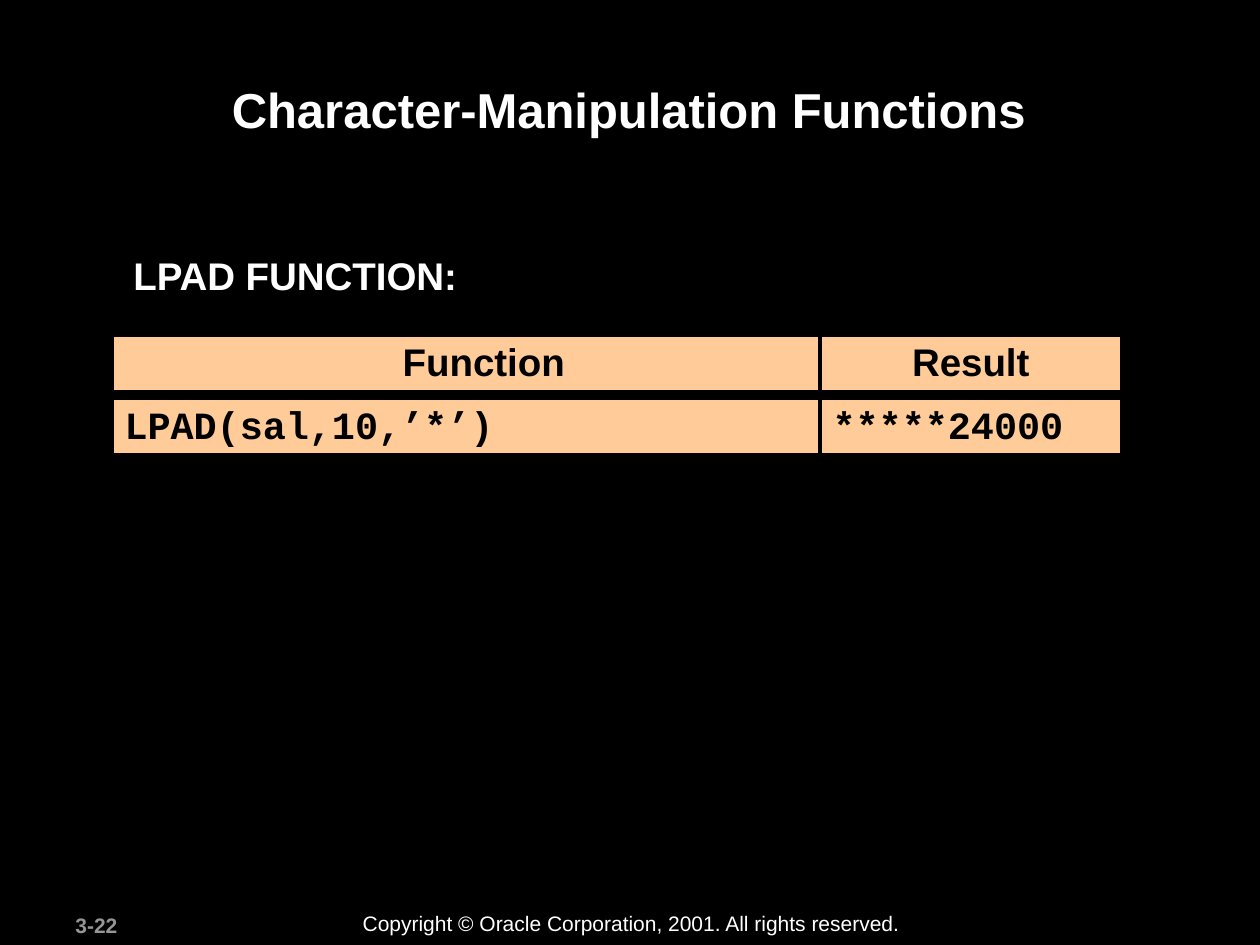
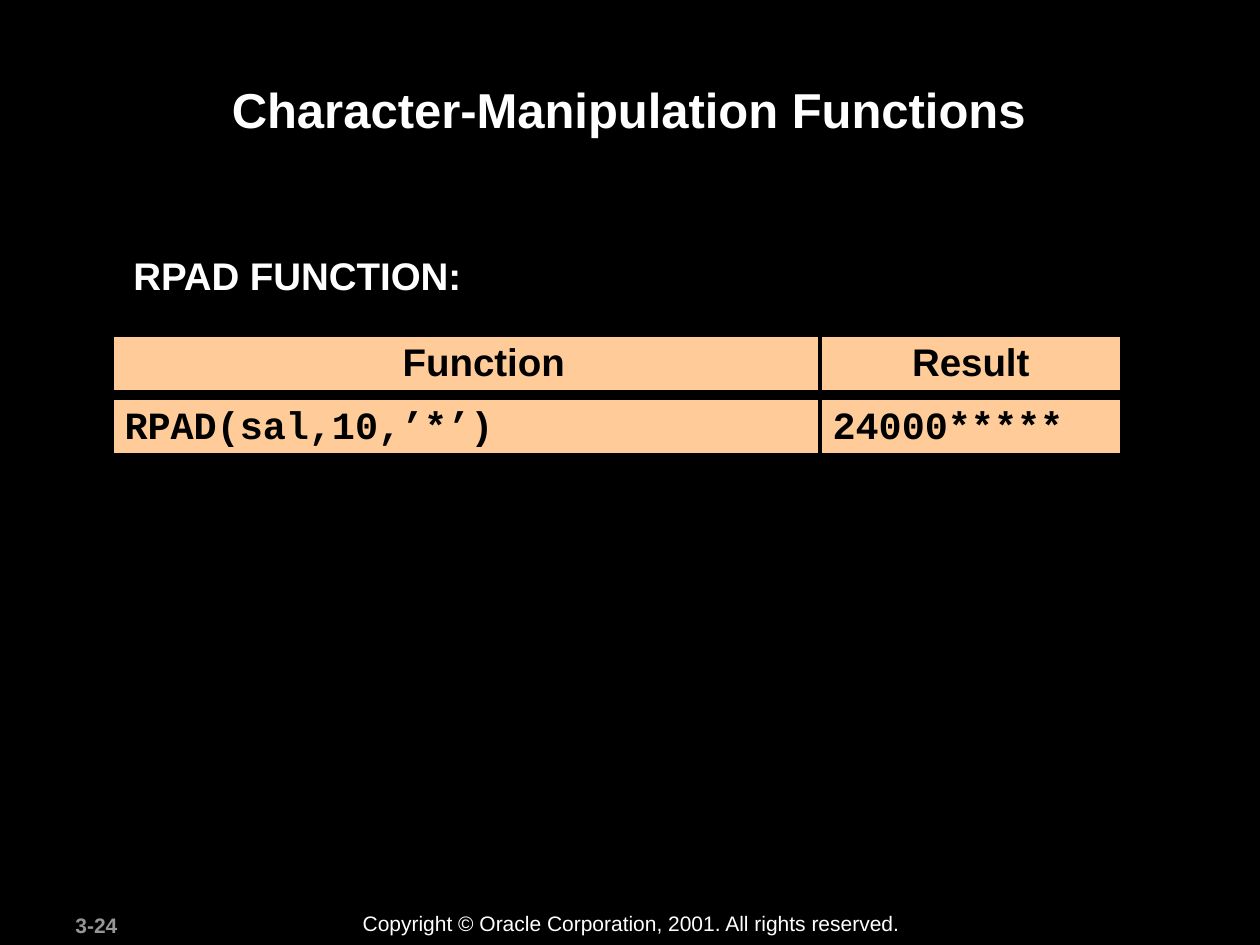
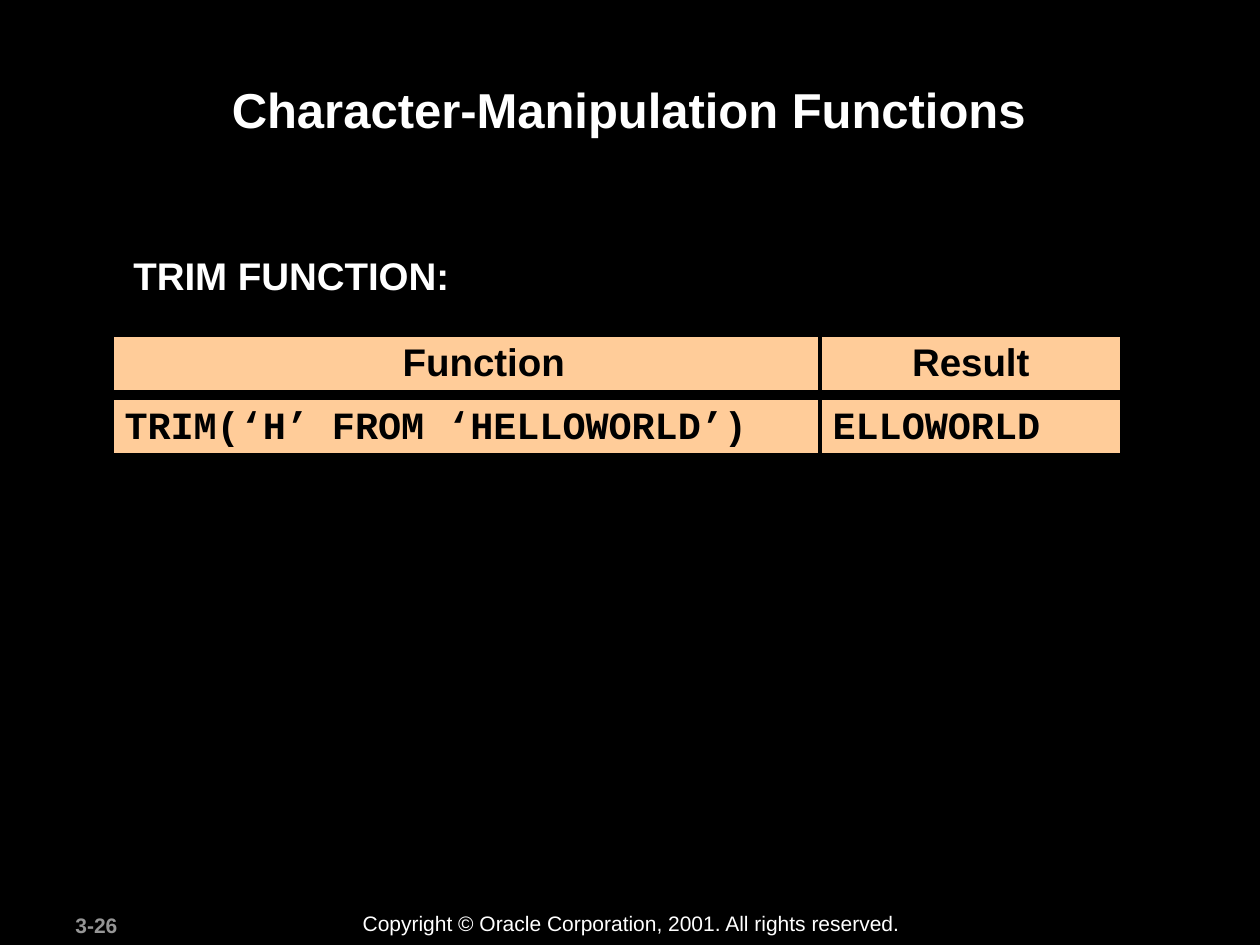
"""Build three slides on character-manipulation functions."""
import pptx
import pptx.dml.color
import pptx.enum.shapes
import pptx.enum.text
import pptx.util

TITLE = "Character-Manipulation Functions"
NOTICE = "Copyright © Oracle Corporation, 2001. All rights reserved."
HEADS = ("Function", "Result")
PAGES = [
    ("3-22", "LPAD FUNCTION:", ("LPAD(sal,10,’*’)", "*****24000")),
    ("3-24", "RPAD FUNCTION:", ("RPAD(sal,10,’*’)", "24000*****")),
    ("3-26", "TRIM FUNCTION:", ("TRIM(‘H’ FROM ‘HELLOWORLD’)", "ELLOWORLD")),
]

WIDE, HIGH = 10, 7.5
BLACK, WHITE, GREY, PEACH = "000000", "FFFFFF", "969696", "FFCC99"
SANS, MONO = "Arial", "Courier New"
LEFT, MID, RIGHT = 0.89, 6.51, 8.9
TOP, STEP, TALL = 2.66, 0.5, 0.45
LAP = {"head": 0.28, "code": 0.04}
CENTER = pptx.enum.text.PP_ALIGN.CENTER
START = pptx.enum.text.PP_ALIGN.LEFT


def tint(code):
    return pptx.dml.color.RGBColor.from_string(code)


def place(box):
    return [pptx.util.Inches(part) for part in box]


def write(shape, text, size, color=WHITE, font=SANS, bold=True, align=START, lead=1.0):
    frame = shape.text_frame
    frame.word_wrap = True
    frame.vertical_anchor = pptx.enum.text.MSO_ANCHOR.TOP
    para = frame.paragraphs[0]
    para.alignment = align
    para.line_spacing = lead
    run = para.add_run()
    run.text = text
    run.font.name = font
    run.font.size = pptx.util.Pt(size)
    run.font.bold = bold
    run.font.color.rgb = tint(color)


def label(slide, box, text, size, **style):
    write(slide.shapes.add_textbox(*place(box)), text, size, **style)


def cell(slide, box, text, **style):
    shape = slide.shapes.add_shape(pptx.enum.shapes.MSO_SHAPE.RECTANGLE, *place(box))
    shape.shadow.inherit = False
    shape.fill.solid()
    shape.fill.fore_color.rgb = tint(PEACH)
    shape.line.color.rgb = tint(BLACK)
    shape.line.width = pptx.util.Pt(2)
    write(shape, text, 22, color=BLACK, lead=0.95, **style)


def grid(slide, codes):
    rows = [(1, "code", codes, {"font": MONO}), (0, "head", HEADS, {"align": CENTER})]
    for row, kind, texts, style in rows:
        spans = [(LEFT, MID - LEFT + LAP[kind]), (MID, RIGHT - MID)]
        for (left, width), text in zip(spans, texts):
            cell(slide, (left, TOP + row * STEP, width, TALL), text, **style)


def build(deck, number, topic, codes):
    slide = deck.slides.add_slide(deck.slide_layouts[6])
    label(slide, (0.5, 7.19, 1.05, 0.3), number, 12, color=GREY)
    label(slide, (2.78, 7.18, 4.48, 0.3), NOTICE, 12, bold=False)
    grid(slide, codes)
    label(slide, (0.94, 0.58, 8.1, 0.96), TITLE, 28, align=CENTER)
    label(slide, (0.96, 1.98, 8.08, TALL), topic, 22, lead=0.95)


def main():
    deck = pptx.Presentation()
    deck.slide_width, deck.slide_height = place((WIDE, HIGH))
    back = deck.slide_master.background.fill
    back.solid()
    back.fore_color.rgb = tint(BLACK)
    for page in PAGES:
        build(deck, *page)
    deck.save("out.pptx")


if __name__ == "__main__":
    main()
